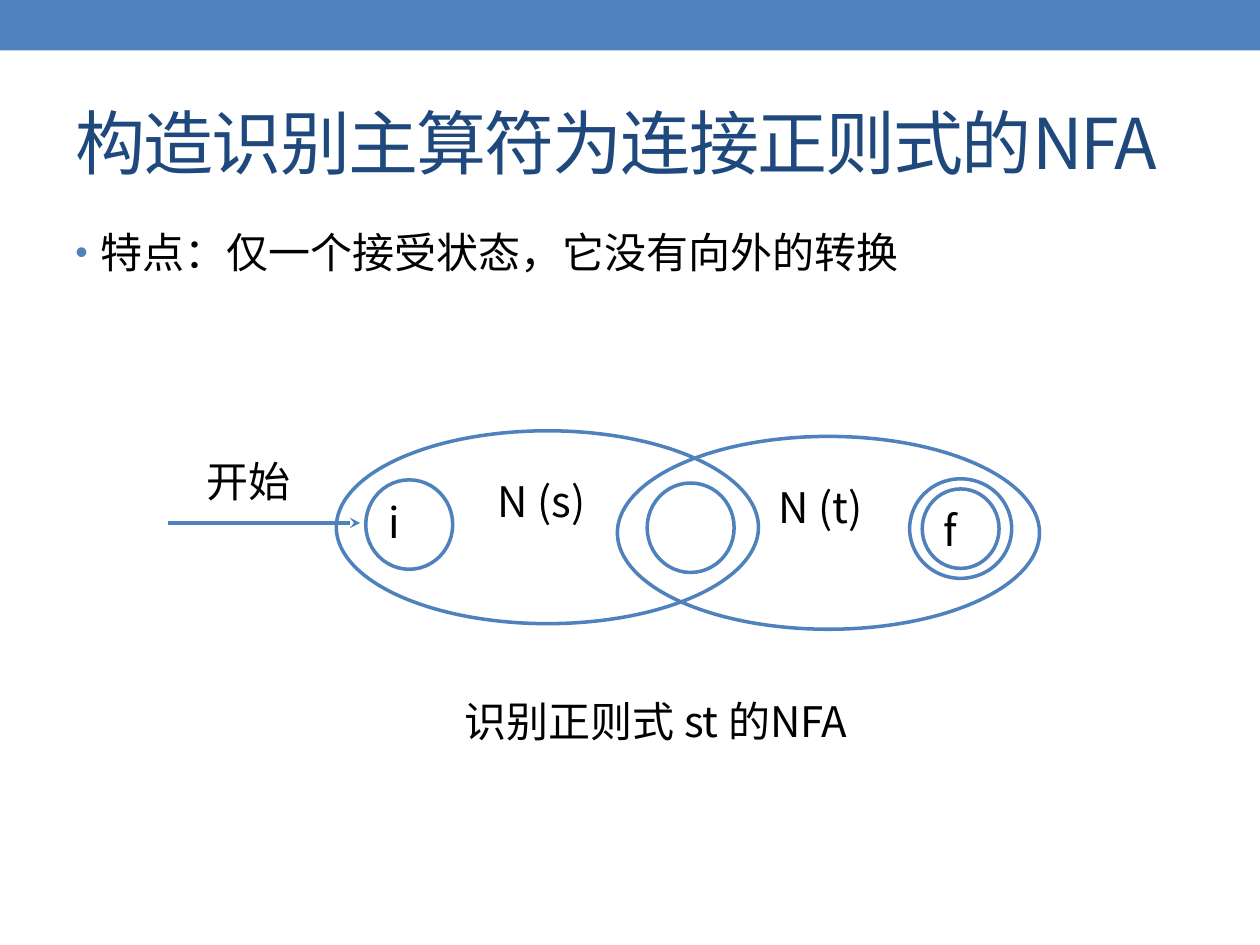
from lxml import etree
from pptx import Presentation
from pptx import util as u
from pptx.dml.color import RGBColor
from pptx.enum import shapes, text
from pptx.oxml import ns

COLORS = {"accent": "4F81BD", "title": "1F497D", "text": "000000"}
FONT = "Noto Sans CJK SC"
ALIGN = text.PP_ALIGN


def color(name):
    return RGBColor.from_string(COLORS[name])


def add_xml(parent, tag, **attributes):
    return etree.SubElement(parent, ns.qn(tag), attributes)


def place(shape, box):
    for side, value in zip(("left", "top", "width", "height"), box):
        setattr(shape, side, u.Pt(value))


def write(shape, wording, size=24, ink="text", align=ALIGN.LEFT,
          anchor=text.MSO_ANCHOR.TOP, insets=(7.2, 3.6, 7.2, 3.6), spacing=None):
    """Fill a text frame with one formatted paragraph and return the paragraph."""
    frame = shape.text_frame
    margins = ("margin_left", "margin_top", "margin_right", "margin_bottom")
    layout = dict(zip(margins, map(u.Pt, insets)))
    layout.update(word_wrap=True, auto_size=text.MSO_AUTO_SIZE.NONE,
                  vertical_anchor=anchor)
    for name, value in layout.items():
        setattr(frame, name, value)
    paragraph = frame.paragraphs[0]
    paragraph.alignment = align
    run = paragraph.add_run()
    run.text = wording
    for name, value in {"size": u.Pt(size), "name": FONT}.items():
        setattr(run.font, name, value)
    run.font.color.rgb = color(ink)
    properties = run._r.get_or_add_rPr()
    add_xml(properties, "a:ea", typeface=FONT)
    if spacing is not None:
        properties.set("spc", str(spacing))
    return paragraph


def add_label(parent, wording, box, **formats):
    label = parent.add_textbox(*map(u.Pt, box))
    return write(label, wording, **formats)


def add_bullet(paragraph):
    properties = paragraph._p.get_or_add_pPr()
    for name, value in {"marL": u.Pt(14.4), "indent": u.Pt(-14.4)}.items():
        properties.set(name, str(int(value)))
    add_xml(add_xml(properties, "a:buClr"), "a:srgbClr", val=COLORS["accent"])
    add_xml(properties, "a:buSzPct", val="85000")
    add_xml(properties, "a:buFont", typeface="Arial")
    add_xml(properties, "a:buChar", char="•")


def add_band(parent):
    band = parent.add_shape(shapes.MSO_SHAPE.RECTANGLE, 0, 0, u.Pt(720), u.Pt(28.8))
    band.shadow.inherit = False
    band.fill.solid()
    band.fill.fore_color.rgb = color("accent")
    band.line.fill.background()


def add_oval(parent, box, name=None, insets=(5.8, 2.2, 1.4, 2)):
    oval = parent.add_shape(shapes.MSO_SHAPE.OVAL, *map(u.Pt, box))
    oval.shadow.inherit = False
    oval.fill.background()
    oval.line.color.rgb = color("accent")
    oval.line.width = u.Pt(2)
    if name:
        write(oval, name, insets=insets)


def add_arrow(parent, start, end):
    arrow = parent.add_connector(shapes.MSO_CONNECTOR.STRAIGHT,
                                 *map(u.Pt, start + end))
    arrow.line.color.rgb = color("accent")
    arrow.line.width = u.Pt(2)
    add_xml(arrow.line._get_or_add_ln(), "a:tailEnd", type="stealth")
    add_xml(arrow._element.spPr, "a:effectLst")


def add_machine(parent, name, left, top):
    """Draw the oval of one sub-automaton with its name."""
    add_oval(parent, (left, top, 241.2, 110.2))
    add_label(parent, name, (left + 85.7, top + 23.4, 83.5, 61.2),
              align=ALIGN.JUSTIFY, insets=(6.5, 2.2, 7.2, 3.6))


def add_automaton(parent):
    add_machine(parent, "N (s)", 192.2, 246.2)
    add_machine(parent, "N (t)", 352.8, 249.4)
    add_oval(parent, (209, 274.2, 49.7, 51.1), "i")
    add_oval(parent, (369.8, 276, 49.7, 51.1))
    add_oval(parent, (519.8, 273.6, 58.3, 56.9))
    add_oval(parent, (527, 279.4, 43.9, 45.4), "f")
    add_label(parent, "开始", (113.8, 257.8, 80.6, 48.2),
              align=ALIGN.JUSTIFY, insets=(4.3, 2.2, 4.3, 2.2))
    add_arrow(parent, (95.8, 298.8), (205.9, 298.8))
    add_label(parent, "识别正则式 st 的NFA", (258.5, 393.8, 242.6, 36))


def main():
    deck = Presentation()
    deck.slide_width, deck.slide_height = u.Pt(720), u.Pt(540)
    slide = deck.slides.add_slide(deck.slide_layouts[5])
    add_band(slide.shapes)
    title = slide.shapes.title
    place(title, (36, 41.8, 648, 77.8))
    write(title, "构造识别主算符为连接正则式的NFA", size=40, ink="title",
          anchor=text.MSO_ANCHOR.MIDDLE, spacing=-100)
    feature = add_label(slide.shapes, "特点：仅一个接受状态，它没有向外的转换",
                        (36, 126, 648, 383.8))
    add_bullet(feature)
    add_automaton(slide.shapes.add_group_shape().shapes)
    deck.save("out.pptx")


if __name__ == "__main__":
    main()
